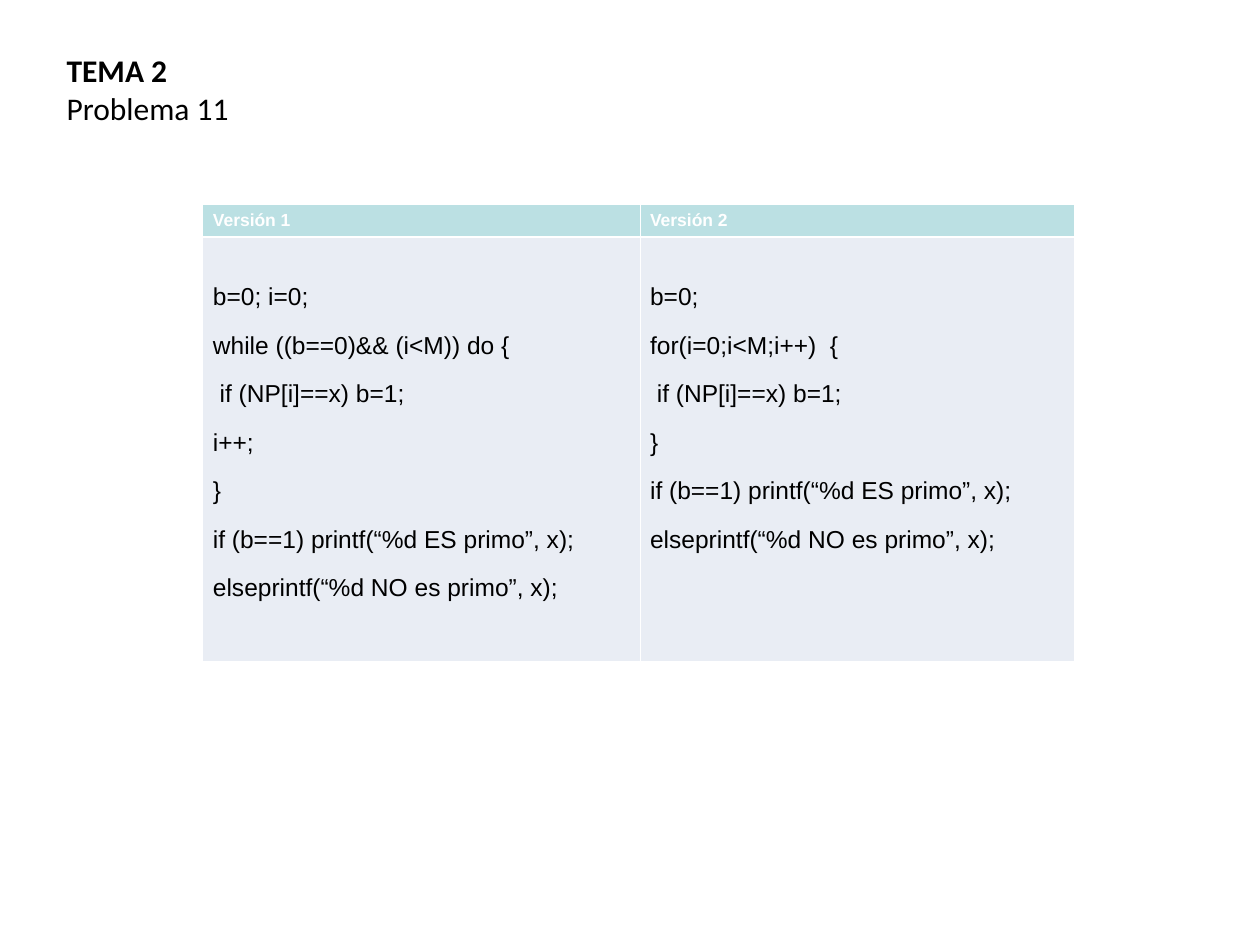
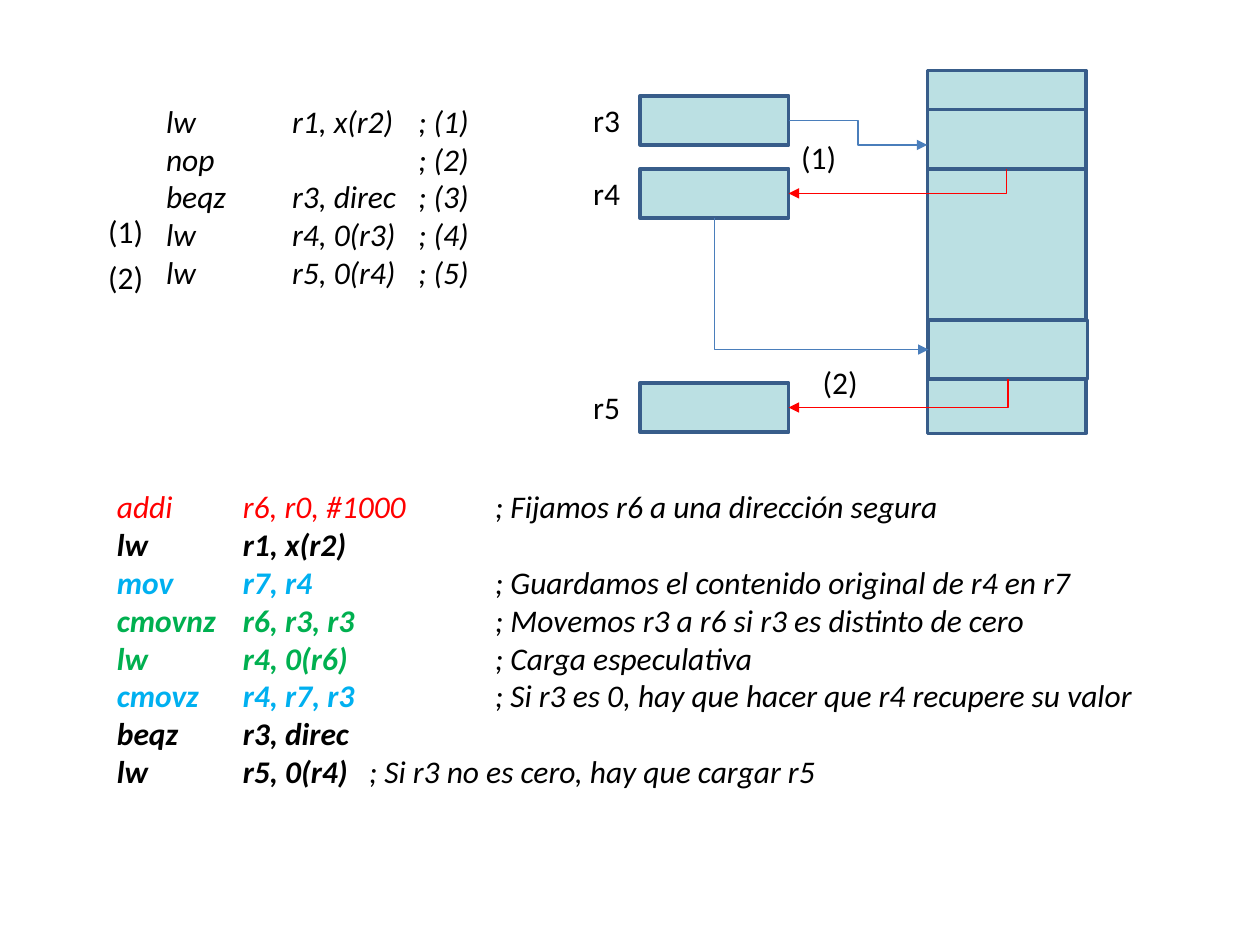
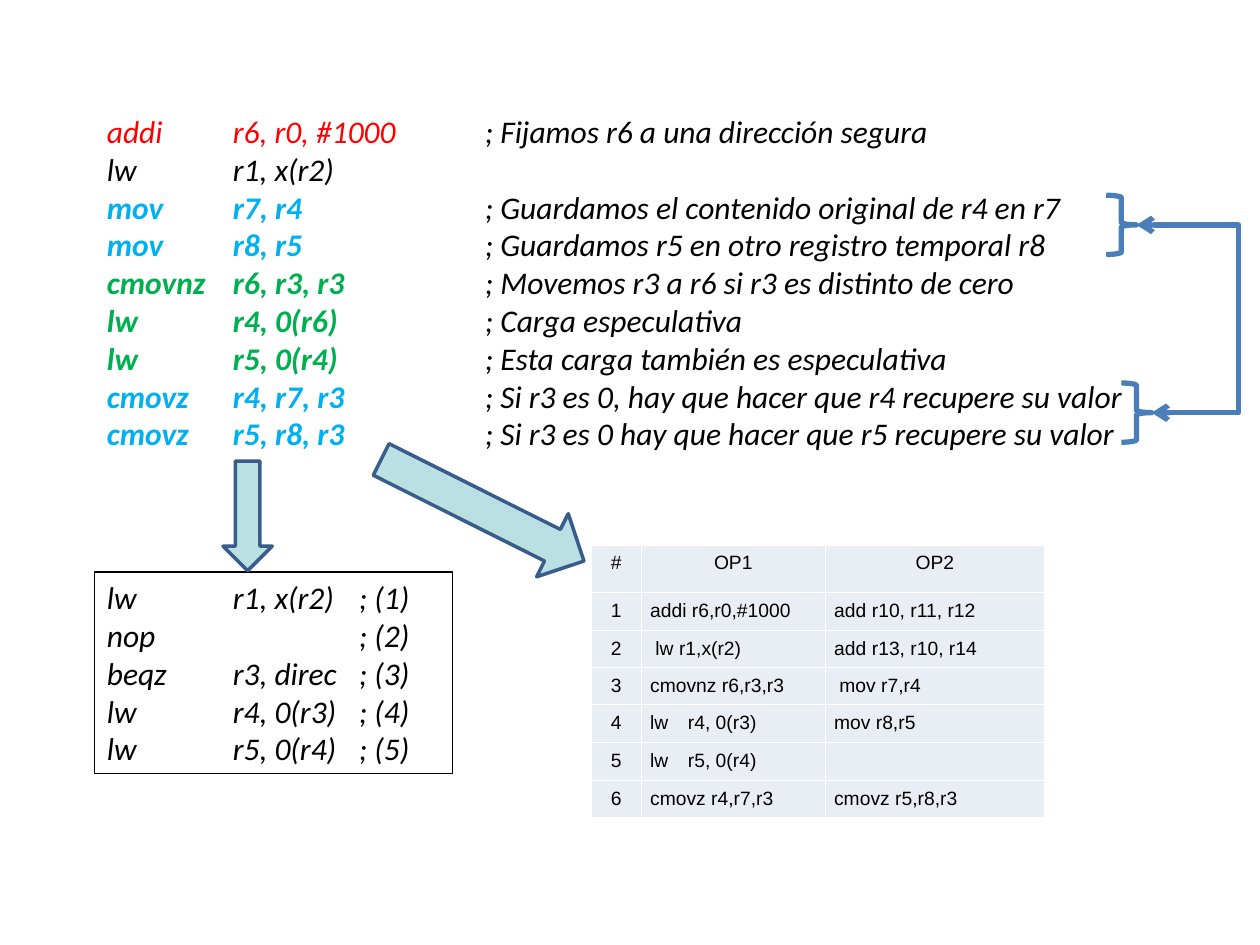
from lxml import etree
from pptx import Presentation
from pptx.dml.color import RGBColor
from pptx.enum.shapes import MSO_CONNECTOR, MSO_SHAPE
from pptx.enum.text import MSO_ANCHOR, PP_ALIGN
from pptx.oxml.ns import qn
from pptx.util import Inches, Pt

COLORS = {
    "black": "000000",
    "white": "FFFFFF",
    "red": "FF0000",
    "blue": "00B0F0",
    "green": "00B050",
    "block": "BBE0E3",
    "outline": "385D8A",
    "arrow": "4A7EBB",
    "cell": "E9EDF4",
}
TOP, LEFT, BOTTOM, RIGHT = range(4)
BRACE_TIP = 1
INCH_TABS = range(1, 8)

VERSIONS = [
    [
        "b=0; i=0;",
        "while ((b==0)&& (i<M)) do {",
        " if (NP[i]==x) b=1;",
        "i++;",
        "}",
        "if (b==1) printf(“%d ES primo”, x);",
        "elseprintf(“%d NO es primo”, x);",
    ],
    [
        "b=0;",
        "for(i=0;i<M;i++)  {",
        " if (NP[i]==x) b=1;",
        "}",
        "if (b==1) printf(“%d ES primo”, x);",
        "elseprintf(“%d NO es primo”, x);",
    ],
]
BRANCH_CODE = [
    "lw\tr1, x(r2)\t; (1)",
    "nop\t\t; (2)",
    "beqz\tr3, direc\t; (3)",
    "lw\tr4, 0(r3)\t; (4)",
    "lw\tr5, 0(r4)\t; (5)",
]
SCHEDULE = [
    ["#", "OP1", "OP2"],
    ["1", "addi r6,r0,#1000", "add\tr10, r11, r12"],
    ["2", " lw r1,x(r2)", "add\tr13, r10, r14"],
    ["3", "cmovnz r6,r3,r3", " mov r7,r4"],
    ["4", "lw\tr4, 0(r3)", "mov r8,r5"],
    ["5", "lw\tr5, 0(r4)", ""],
    ["6", "cmovz r4,r7,r3", "cmovz r5,r8,r3"],
]


def instruction(code, comment="", color="black", bold=True):
    """Return one listing line: coloured code and a plain comment."""
    line = [(code, {"color": color, "bold": bold})]
    return line + [(comment, {})] if comment else line


SET_SAFE_R6 = instruction("addi\tr6, r0, #1000\t", "; Fijamos r6 a una dirección segura", "red", False)
SAVE_R4 = instruction("mov\tr7, r4\t\t", "; Guardamos el contenido original de r4 en r7", "blue")
MOVE_R3 = instruction("cmovnz\tr6, r3, r3\t\t", "; Movemos r3 a r6 si r3 es distinto de cero", "green")
LOAD_R4 = instruction("lw\tr4, 0(r6)\t\t", "; Carga especulativa", "green")
RESTORE_R4 = instruction(
    "cmovz\tr4, r7, r3\t\t", "; Si r3 es 0, hay que hacer que r4 recupere su valor", "blue")

ONE_LOAD_CODE = [
    SET_SAFE_R6,
    instruction("lw\tr1, x(r2)"),
    SAVE_R4,
    MOVE_R3,
    LOAD_R4,
    RESTORE_R4,
    instruction("beqz\tr3, direc"),
    instruction("lw\tr5, 0(r4) \t", "; Si r3 no es cero, hay que cargar r5"),
]
TWO_LOADS_CODE = [
    SET_SAFE_R6,
    instruction("lw\tr1, x(r2)", bold=False),
    SAVE_R4,
    instruction("mov\tr8, r5\t\t", "; Guardamos r5 en otro registro temporal r8", "blue"),
    MOVE_R3,
    LOAD_R4,
    instruction("lw\tr5, 0(r4)\t\t", "; Esta carga también es especulativa", "green"),
    RESTORE_R4,
    instruction("cmovz\tr5, r8, r3\t\t", "; Si r3 es 0 hay que hacer que r5 recupere su valor", "blue"),
]


def rgb(name):
    return RGBColor.from_string(COLORS[name])


def inches(*values):
    return [Inches(value) for value in values]


def set_line(line, color, width):
    line.color.rgb = rgb(color)
    line.width = Pt(width)


def write_text(frame, lines, size=18, font="Calibri", color="black", bold=False,
               italic=False, align=PP_ALIGN.LEFT, gap=0, tabs=INCH_TABS):
    """Write lines, each a string or a list of (text, overrides); gap is in points."""
    for index, line in enumerate(lines):
        paragraph = frame.add_paragraph() if index else frame.paragraphs[0]
        paragraph.alignment = align
        tab_list = etree.SubElement(paragraph._p.get_or_add_pPr(), qn("a:tabLst"))
        for tab in tabs:
            etree.SubElement(tab_list, qn("a:tab"), pos=str(Inches(tab)), algn="l")
        if gap and index:
            paragraph.space_before = Pt(gap)
        if not line:
            etree.SubElement(paragraph._p, qn("a:endParaRPr"), sz=str(size * 100))
            continue
        for text, overrides in [(line, {})] if isinstance(line, str) else line:
            run = paragraph.add_run()
            run.text = text
            run.font.size = Pt(size)
            run.font.name = font
            run.font.italic = italic
            run.font.bold = overrides.get("bold", bold)
            run.font.color.rgb = rgb(overrides.get("color", color))


def add_text(slide, at, lines, **style):
    box = slide.shapes.add_textbox(*inches(*at))
    box.text_frame.word_wrap = True
    write_text(box.text_frame, lines, **style)
    return box


def add_block(slide, at, preset=MSO_SHAPE.RECTANGLE, rotation=0):
    block = slide.shapes.add_shape(preset, *inches(*at))
    block.shadow.inherit = False
    block.fill.solid()
    block.fill.fore_color.rgb = rgb("block")
    set_line(block.line, "outline", 2)
    block.rotation = rotation
    return block


def add_brace(slide, left, top):
    brace = slide.shapes.add_shape(MSO_SHAPE.RIGHT_BRACE, *inches(left, top, 0.24, 0.47))
    brace.shadow.inherit = False
    brace.fill.background()
    set_line(brace.line, "arrow", 3)
    return brace


def add_elbow(slide, begin, end=None, point=(0, 0), color="arrow", width=0.75,
              head=None, tail=None, corner=False):
    """Join two (shape, site) pairs, or one pair and a point in inches.

    With corner the line has one bend and its horizontal part comes first.
    """
    connector = slide.shapes.add_connector(MSO_CONNECTOR.ELBOW, 0, 0, *inches(*point))
    connector.begin_connect(*begin)
    if end:
        connector.end_connect(*end)
    set_line(connector.line, color, width)
    properties = connector._element.spPr
    for tag, kind in (("a:headEnd", head), ("a:tailEnd", tail)):
        if kind:
            etree.SubElement(connector.line._get_or_add_ln(), qn(tag), type=kind)
    etree.SubElement(properties, qn("a:effectLst"))
    if corner:
        properties.find(qn("a:prstGeom")).set("prst", "bentConnector2")
    return connector


def add_brace_link(slide, upper, lower, turn):
    """Join the tips of two braces by a double arrow that turns at x = turn inches."""
    link = add_elbow(slide, (upper, BRACE_TIP), (lower, BRACE_TIP),
                     width=3, head="arrow", tail="arrow")
    link.begin_x = upper.left + upper.width
    link.begin_y = upper.top + upper.height // 2
    link.end_x = lower.left + lower.width
    link.end_y = lower.top + lower.height // 2
    bend = round(100000 * (Inches(turn) - link.begin_x) / (link.end_x - link.begin_x))
    geometry = link._element.spPr.find(qn("a:prstGeom"))
    guides = geometry.find(qn("a:avLst"))
    if guides is None:
        guides = etree.SubElement(geometry, qn("a:avLst"))
    etree.SubElement(guides, qn("a:gd"), name="adj1", fmla=f"val {bend}")


def format_cell(cell, fill, margin, rules):
    """Set fill, side margin and white borders; rules maps border tags to points."""
    cell.margin_left = cell.margin_right = Inches(margin)
    cell.margin_top = cell.margin_bottom = Inches(0.05)
    properties = cell._tc.get_or_add_tcPr()
    for tag in ("lnL", "lnR", "lnT", "lnB"):
        border = etree.SubElement(properties, qn(f"a:{tag}"), w=str(Pt(rules.get(tag, 0.45))))
        paint = etree.SubElement(border, qn("a:solidFill"))
        etree.SubElement(paint, qn("a:srgbClr"), val=COLORS["white"])
    cell.fill.solid()
    cell.fill.fore_color.rgb = rgb(fill)


def add_table(slide, left, top, widths, heights):
    frame = slide.shapes.add_table(
        len(heights), len(widths), *inches(left, top, sum(widths), sum(heights)))
    for column, width in zip(frame.table.columns, widths):
        column.width = Inches(width)
    for row, height in zip(frame.table.rows, heights):
        row.height = Inches(height)
    return frame.table


def add_versions_table(slide):
    table = add_table(slide, 1.61, 1.62, [3.47, 3.45], [0.26, 3.37])
    style = {"font": "Arial", "align": PP_ALIGN.JUSTIFY}
    for column, code in enumerate(VERSIONS):
        header, body = table.cell(0, column), table.cell(1, column)
        format_cell(header, "block", 0.08, {"lnB": 1.47})
        write_text(header.text_frame, [f"Versión {column + 1}"], size=10, color="white", bold=True, **style)
        format_cell(body, "cell", 0.08, {"lnT": 1.47})
        body.margin_top = Inches(0.37)
        write_text(body.text_frame, code, size=14, gap=12, **style)


def add_schedule_table(slide):
    table = add_table(slide, 4.69, 4.33, [0.4, 1.46, 1.74], [0.37, 0.3, 0.3, 0.29, 0.3, 0.3, 0.3])
    for row, texts in enumerate(SCHEDULE):
        for column, text in enumerate(texts):
            cell = table.cell(row, column)
            format_cell(cell, "cell", 0.07, {})
            cell.vertical_anchor = MSO_ANCHOR.MIDDLE if row else MSO_ANCHOR.TOP
            centred = row == 0 or column == 0
            write_text(cell.text_frame, [text], size=11, font="Arial", tabs=[0.3],
                       align=PP_ALIGN.CENTER if centred else PP_ALIGN.LEFT)


def build_problem_slide(slide):
    add_versions_table(slide)
    add_text(slide, (0.43, 0.36, 1.65, 0.7), [[("TEMA 2", {"bold": True})], "Problema 11"])


def build_memory_slide(slide):
    add_text(slide, (1.22, 0.76, 2.84, 1.6), BRANCH_CODE, italic=True)
    add_text(slide, (0.83, 3.82, 8.66, 2.8), ONE_LOAD_CODE, italic=True)

    registers = {}
    for name, top in (("r3", 0.76), ("r4", 1.34), ("r5", 3.04)):
        registers[name] = add_block(slide, (5.08, top, 1.18, 0.39))
        add_text(slide, (4.61, top - 0.01, 0.47, 0.4), [name])

    add_block(slide, (7.36, 0.56, 1.26, 2.88))
    first_word = add_block(slide, (7.36, 0.87, 1.26, 0.47))
    second_word = add_block(slide, (7.37, 2.54, 1.26, 0.47))

    add_elbow(slide, (registers["r3"], RIGHT), point=(7.36, 1.15), tail="triangle")
    add_elbow(slide, (second_word, LEFT), (registers["r4"], BOTTOM), head="triangle", corner=True)
    for name, word in (("r4", first_word), ("r5", second_word)):
        add_elbow(slide, (registers[name], RIGHT), (word, BOTTOM), color="red",
                  head="triangle", corner=True)

    for label, left, top in (("(1)", 6.26, 1.05), ("(2)", 6.43, 2.83),
                             ("(1)", 0.76, 1.63), ("(2)", 0.76, 2)):
        add_text(slide, (left, top, 0.61, 0.4), [label])


def build_schedule_slide(slide):
    add_text(slide, (0.75, 0.84, 8.9, 2.8), TWO_LOADS_CODE, italic=True)
    save_brace = add_brace(slide, 8.78, 1.55)
    restore_brace = add_brace(slide, 8.9, 3.04)
    add_brace_link(slide, save_brace, restore_brace, turn=9.83)
    branch_box = add_text(slide, (0.75, 4.54, 2.84, 1.6), BRANCH_CODE, italic=True)
    set_line(branch_box.line, "black", 0.75)
    add_schedule_table(slide)
    add_block(slide, (1.77, 3.66, 0.39, 0.87), MSO_SHAPE.DOWN_ARROW)
    add_block(slide, (2.93, 3.77, 1.8, 0.56), MSO_SHAPE.RIGHT_ARROW, rotation=26.6)


def main():
    presentation = Presentation()
    presentation.slide_width, presentation.slide_height = inches(10, 7.5)
    blank = presentation.slide_layouts[6]
    for build in (build_problem_slide, build_memory_slide, build_schedule_slide):
        build(presentation.slides.add_slide(blank))
    presentation.save("out.pptx")


if __name__ == "__main__":
    main()
